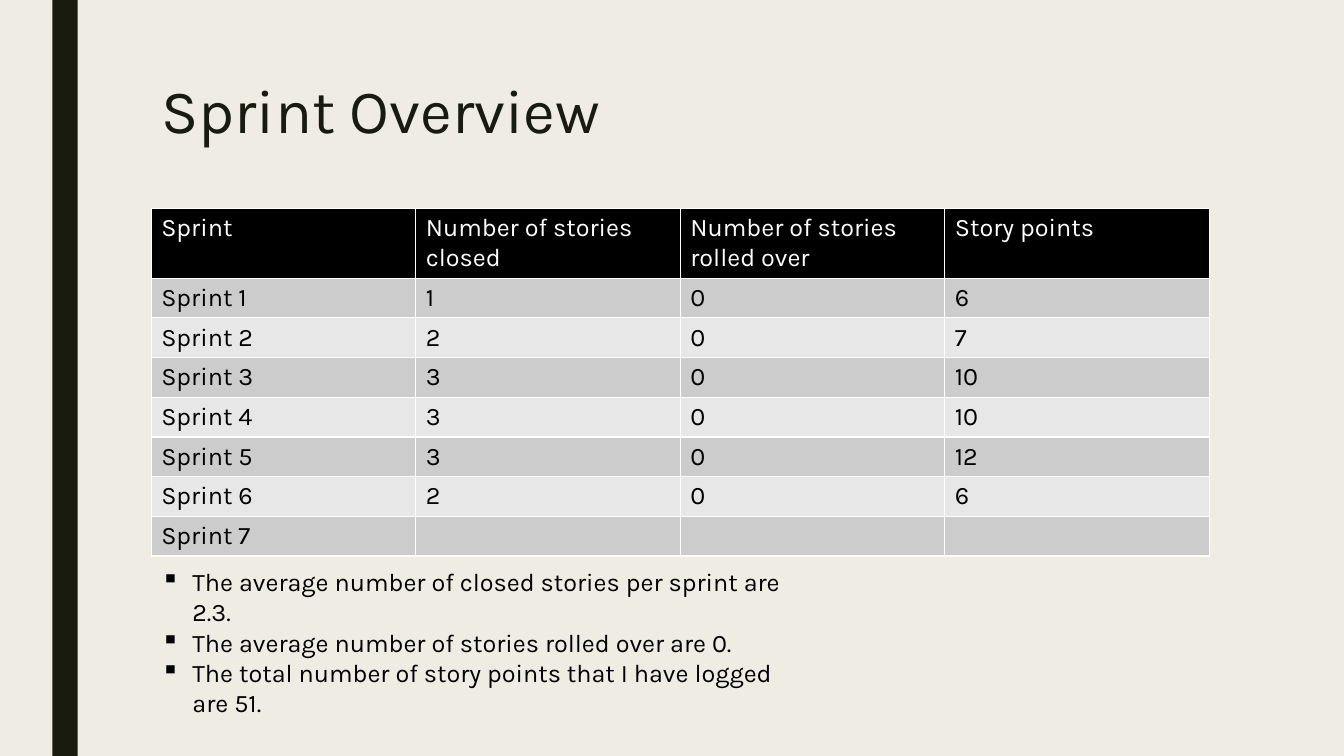
import lxml.etree
import pptx
import pptx.dml.color
import pptx.enum.shapes
import pptx.enum.text
import pptx.oxml.ns
import pptx.util

Cm = pptx.util.Cm
RGBColor = pptx.dml.color.RGBColor

CREAM = RGBColor(0xEF, 0xED, 0xE3)
OLIVE = RGBColor(0x19, 0x1B, 0x0E)
BLACK = RGBColor(0x00, 0x00, 0x00)
WHITE = RGBColor(0xFF, 0xFF, 0xFF)
BANDS = [RGBColor(0xE7, 0xE7, 0xE7), RGBColor(0xCC, 0xCC, 0xCC)]

LEFT = 3.81
CONTENT_WIDTH = 26.67
TABLE_TOP = 5.26

HEADINGS = ["Sprint", "Number of stories closed", "Number of stories rolled over", "Story points"]
SPRINTS = [(1, 0, 6), (2, 0, 7), (3, 0, 10), (3, 0, 10), (3, 0, 12), (2, 0, 6), ("", "", "")]
FINDINGS = [
    "The average number of closed stories per sprint are 2.3.",
    "The average number of stories rolled over are 0.",
    "The total number of story points that I have logged are 51.",
]


class SlideBuilder:
    """Hold the text style and the current slide, and add elements to it."""

    def __init__(self, slide, font_name="Karla", body_size=18):
        self.slide = slide
        self.font_name = font_name
        self.body_size = body_size
        slide.background.fill.solid()
        slide.background.fill.fore_color.rgb = CREAM

    def style(self, paragraph, color, size=None):
        font = paragraph.font
        font.name = self.font_name
        font.size = pptx.util.Pt(size or self.body_size)
        font.bold = False
        font.color.rgb = color

    def bar(self, left, width, height):
        shape = self.slide.shapes.add_shape(
            pptx.enum.shapes.MSO_SHAPE.RECTANGLE, Cm(left), 0, Cm(width), height)
        shape.shadow.inherit = False
        shape.fill.solid()
        shape.fill.fore_color.rgb = OLIVE
        shape.line.fill.background()

    def title(self, text, left, top, width, height):
        title = self.slide.shapes.title
        title.left, title.top, title.width, title.height = map(Cm, (left, top, width, height))
        title.text_frame.text = text
        title.text_frame.vertical_anchor = pptx.enum.text.MSO_ANCHOR.TOP
        paragraph = title.text_frame.paragraphs[0]
        paragraph.alignment = pptx.enum.text.PP_ALIGN.LEFT
        paragraph.line_spacing = 0.89
        self.style(paragraph, OLIVE, 44)

    def table(self, rows, left, top, width, header_height, row_height):
        height = header_height + row_height * (len(rows) - 1)
        table = self.slide.shapes.add_table(
            len(rows), len(rows[0]), Cm(left), Cm(top), Cm(width), Cm(height)).table
        for row_index, values in enumerate(rows):
            is_header = row_index == 0
            table.rows[row_index].height = Cm(header_height if is_header else row_height)
            for cell, value in zip(table.rows[row_index].cells, values):
                cell.text = str(value)
                cell.fill.solid()
                cell.fill.fore_color.rgb = BLACK if is_header else BANDS[row_index % 2]
                self.style(cell.text_frame.paragraphs[0], WHITE if is_header else BLACK)

    def bullets(self, items, left, top, width, height, indent=0.79):
        frame = self.slide.shapes.add_textbox(Cm(left), Cm(top), Cm(width), Cm(height)).text_frame
        frame.word_wrap = True
        frame.text = "\n".join(items)
        for paragraph in frame.paragraphs:
            self.style(paragraph, BLACK)
            properties = paragraph._p.get_or_add_pPr()
            properties.set("marL", str(Cm(indent)))
            properties.set("indent", str(-Cm(indent)))
            bullet = lxml.etree.Element(pptx.oxml.ns.qn("a:buChar"), char="▪")
            properties.find(pptx.oxml.ns.qn("a:defRPr")).addprevious(bullet)


def main():
    presentation = pptx.Presentation()
    presentation.slide_width = Cm(33.87)
    presentation.slide_height = Cm(19.05)
    builder = SlideBuilder(presentation.slides.add_slide(presentation.slide_layouts[5]))

    rows = [HEADINGS] + [(f"Sprint {number}", *values) for number, values in enumerate(SPRINTS, 1)]
    builder.bar(1.32, 0.64, presentation.slide_height)
    builder.title("Sprint Overview", LEFT, 1.9, CONTENT_WIDTH, 3.36)
    builder.table(rows, LEFT, TABLE_TOP, CONTENT_WIDTH, header_height=1.75, row_height=1)
    builder.bullets(FINDINGS, LEFT, 14.15, 16.94, 4.1)
    presentation.save("out.pptx")


if __name__ == "__main__":
    main()
